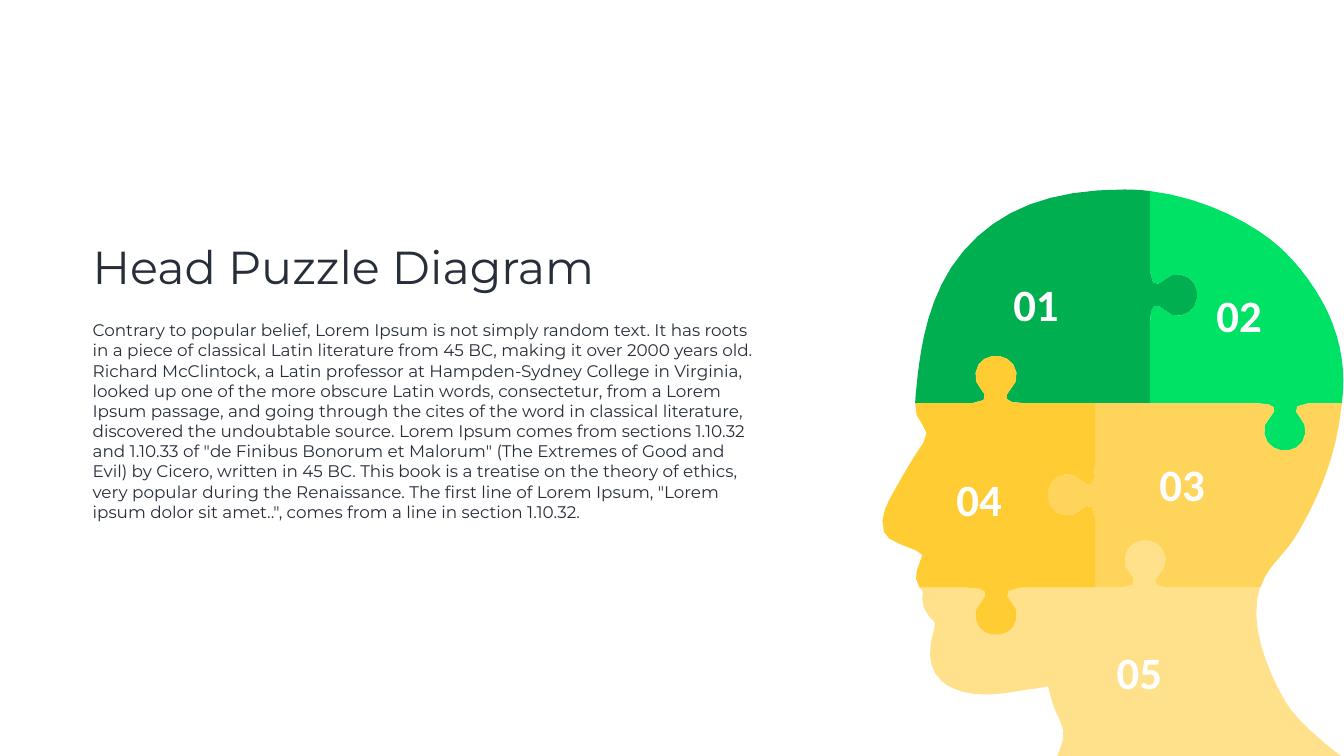
from math import ceil, dist

from pptx import Presentation
from pptx.dml.color import RGBColor
from pptx.enum import text
from pptx.util import Inches, Pt

INK = "272E3A"
WHITE = "FFFFFF"
STEPS_PER_INCH = 4
MAX_STEPS = 8

TAB = [(-0.47, 0), (-0.24, 0.02), (-0.18, 0.09), (-0.22, 0.17),
       (-0.3, 0.34), (-0.44, 0.37), (-0.4, 0.61),
       (-0.34, 1.05), (0.34, 1.05), (0.41, 0.61),
       (0.45, 0.37), (0.3, 0.34), (0.22, 0.17),
       (0.18, 0.07), (0.25, 0), (0.57, 0)]

FOREHEAD = [(5.82, 0.79), (5.65, 0.77), (5.49, 0.76), (5.31, 0.76),
            (3.84, 0.76), (2.83, 1.15), (2.12, 1.98),
            (1.4, 2.81), (1.27, 3.96), (1.21, 4.45),
            (1.19, 4.67), (1.16, 4.87), (1.16, 5)]
CROWN = [(9.63, 5), (9.63, 4.93), (9.64, 4.84), (9.65, 4.76),
         (9.69, 4.17), (9.56, 3.57), (9.25, 3),
         (8.96, 2.47), (8.6, 2.09), (8.4, 1.91),
         (7.96, 1.5), (6.97, 0.93), (5.82, 0.79)]
NAPE = [(9.63, 5), (9.51, 6.12), (9.16, 6.84), (8.81, 7.48),
        (8.67, 7.74), (8.51, 7.92), (8.38, 8.07),
        (8.22, 8.25), (8.09, 8.41), (8.01, 8.66)]
FACE = [(1.16, 5), (1.16, 5.19), (1.2, 5.32), (1.29, 5.4),
        (1.41, 5.53), (1.42, 5.65), (1.32, 5.79),
        (1.08, 6.13), (0.72, 6.77), (0.63, 6.95),
        (0.57, 7.08), (0.45, 7.33), (0.54, 7.55),
        (0.58, 7.63), (0.67, 7.75), (0.87, 7.8),
        (1.3, 7.94), (1.3, 8.02), (1.3, 8.02),
        (1.29, 8.09), (1.26, 8.14), (1.24, 8.19),
        (1.19, 8.31), (1.12, 8.49), (1.25, 8.66)]
JAW = [(1.31, 8.73), (1.29, 8.86), (1.29, 9.08), (1.43, 9.22),
       (1.58, 9.36), (1.58, 9.36), (1.54, 9.47),
       (1.3, 10.21), (1.61, 10.53), (1.92, 10.66),
       (2.09, 10.74), (2.3, 10.78), (2.55, 10.78),
       (2.84, 10.78), (3.11, 10.73), (3.33, 10.69),
       (3.5, 10.67), (3.65, 10.65), (3.8, 10.62),
       (3.84, 10.82), (3.94, 11.14), (4.03, 11.29),
       (4.1, 11.41), (4.13, 11.56), (4.09, 11.69),
       (4.07, 11.78), (4.02, 11.9), (3.98, 12)]
NECK = [(9.61, 12), (9.33, 11.79), (8.73, 11.3), (8.52, 10.94),
        (8.35, 10.66), (7.82, 9.68), (7.95, 8.89),
        (7.97, 8.81), (7.98, 8.73), (8, 8.66)]

BODY = (
    "Contrary to popular belief, Lorem Ipsum is not simply random text. It has roots in a piece "
    "of classical Latin literature from 45 BC, making it over 2000 years old. Richard McClintock, "
    "a Latin professor at Hampden-Sydney College in Virginia, looked up one of the more obscure "
    "Latin words, consectetur, from a Lorem Ipsum passage, and going through the cites of the word "
    "in classical literature, discovered the undoubtable source. Lorem Ipsum comes from sections "
    "1.10.32 and 1.10.33 of \"de Finibus Bonorum et Malorum\" (The Extremes of Good and Evil) by "
    "Cicero, written in 45 BC. This book is a treatise on the theory of ethics, very popular during "
    "the Renaissance. The first line of Lorem Ipsum, \"Lorem ipsum dolor sit amet..\", comes from a "
    "line in section 1.10.32."
)


def color(value):
    return RGBColor.from_string(value)


def tab(center, direction):
    (x, y), (dx, dy) = center, direction
    return [(x + along * dx + out * dy, y + along * dy - out * dx) for along, out in TAB]


def flatten(curve):
    points = [curve[0]]
    for i in range(0, len(curve) - 1, 3):
        controls = curve[i:i + 4]
        length = sum(dist(a, b) for a, b in zip(controls, controls[1:]))
        steps = min(MAX_STEPS, ceil(length * STEPS_PER_INCH))
        for step in range(1, steps + 1):
            t = step / steps
            weights = ((1 - t) ** 3, 3 * t * (1 - t) ** 2, 3 * t * t * (1 - t), t ** 3)
            points.append(tuple(
                sum(w * point[axis] for w, point in zip(weights, controls))
                for axis in (0, 1)))
    return points


def add_piece(slide, left, top, curves, fill):
    points = [(Inches(left + x), Inches(top + y))
              for curve in curves for x, y in flatten(curve)]
    builder = slide.shapes.build_freeform(*points[0], scale=1.0)
    builder.add_line_segments(points[1:], close=True)
    shape = builder.convert_to_shape()
    shape.shadow.inherit = False
    shape.fill.solid()
    shape.fill.fore_color.rgb = color(fill)
    shape.line.fill.background()


def add_text(slide, box, content, size, font_name, fill, bold=False, wrap=False):
    shape = slide.shapes.add_textbox(*(Inches(length) for length in box))
    frame = shape.text_frame
    frame.text = content
    frame.word_wrap = wrap
    frame.auto_size = text.MSO_AUTO_SIZE.SHAPE_TO_FIT_TEXT
    font = frame.paragraphs[0].runs[0].font
    font.size = Pt(size)
    font.name = font_name
    font.bold = bold
    font.color.rgb = color(fill)


def add_head(slide, left, top):
    forehead_face = tab((2.76, 5), (1, 0))
    forehead_crown = tab((5.82, 2.85), (0, 1))
    crown_nape = tab((8.5, 5), (-1, 0))
    nape_face = tab((4.73, 6.82), (0, -1))
    face_jaw = tab((2.77, 8.66), (-1, 0))
    nape_jaw = tab((5.72, 8.66), (1, 0))
    upper_corner, middle_corner, lower_corner = [(5.82, 5)], [(4.73, 5)], [(4.73, 8.66)]

    pieces = [
        ("00B050", [FOREHEAD, forehead_face, upper_corner, forehead_crown[::-1]]),
        ("FFE18B", [FACE[-1:], JAW, NECK, nape_jaw[::-1], face_jaw]),
        ("00E266", [CROWN, forehead_crown, upper_corner, crown_nape[::-1]]),
        ("FFD45B", [NAPE, nape_jaw[::-1], lower_corner, nape_face, middle_corner,
                    crown_nape[::-1]]),
        ("FFCC33", [FACE, face_jaw[::-1], lower_corner, nape_face, middle_corner,
                    forehead_face[::-1]]),
    ]
    for fill, curves in pieces:
        add_piece(slide, left, top, curves, fill)

    labels = {"01": (3.01, 2.44), "05": (5.06, 9.75), "04": (1.88, 6.3),
              "03": (5.91, 6.02), "02": (7.04, 2.66)}
    for label, (x, y) in labels.items():
        add_text(slide, (left + x, top + y, 1.11, 1.18), label, 64, "Calibri", WHITE, bold=True)


def add_description(slide, left, top):
    add_text(slide, (left, top + 1.63, 13.33, 4.14), BODY, 24, "Montserrat", INK, wrap=True)
    add_text(slide, (left, top, 10.2, 1.21), "Head Puzzle Diagram", 66, "Montserrat", INK)


def main():
    presentation = Presentation()
    presentation.slide_width = Inches(26.67)
    presentation.slide_height = Inches(15)
    slide = presentation.slides.add_slide(presentation.slide_layouts[6])
    add_head(slide, 17, 3)
    add_description(slide, 1.74, 4.67)
    presentation.save("out.pptx")


if __name__ == "__main__":
    main()
